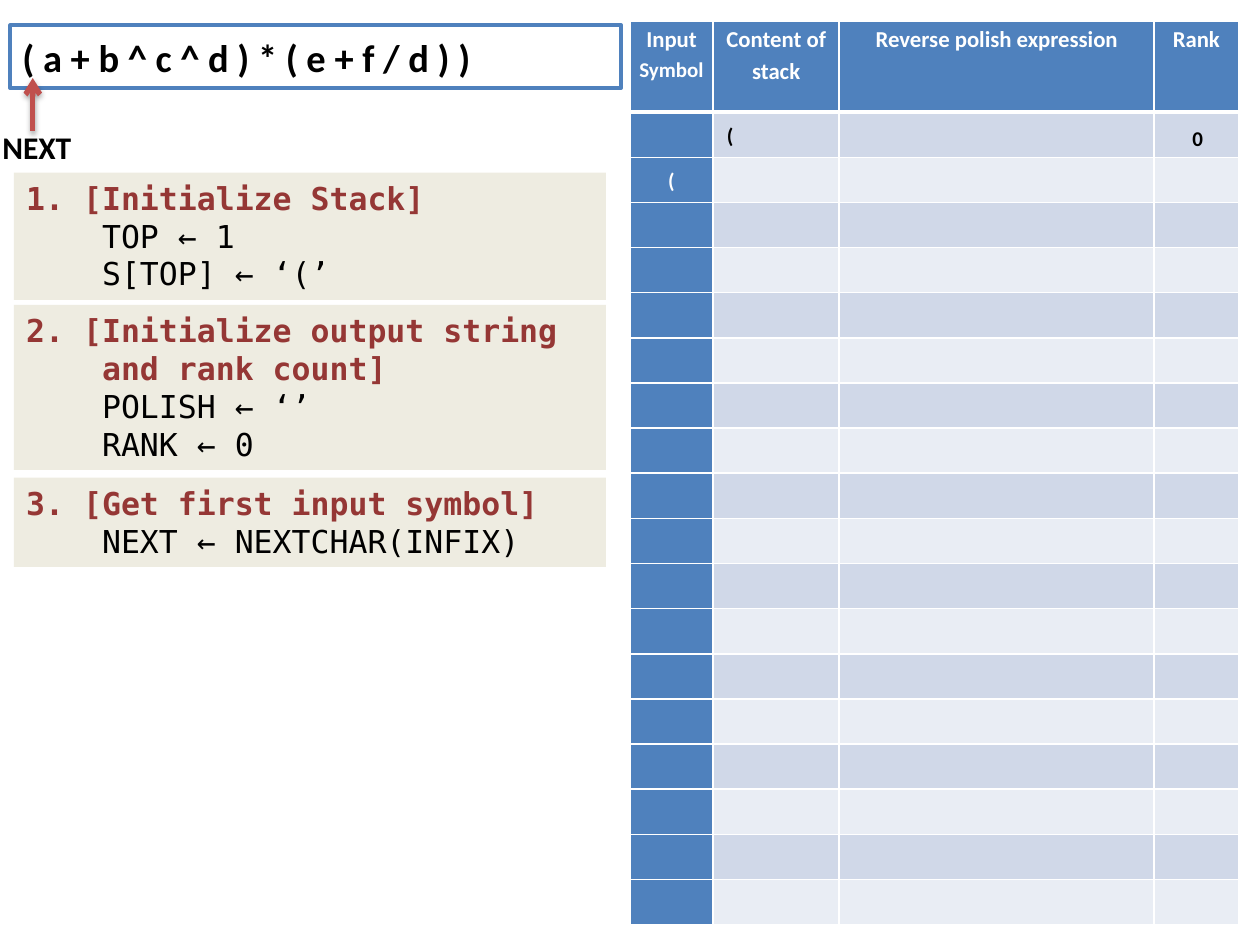
from lxml.etree import SubElement
from pptx import Presentation
from pptx.dml.color import RGBColor
from pptx.enum.shapes import MSO_CONNECTOR, MSO_SHAPE
from pptx.enum.text import MSO_ANCHOR, MSO_AUTO_SIZE, PP_ALIGN
from pptx.oxml import parse_xml
from pptx.oxml.ns import nsdecls, qn
from pptx.util import Inches, Pt

HUES = {
    "blue": "4F81BD", "dark": "D0D8E8", "light": "E9EDF4", "white": "FFFFFF",
    "black": "000000", "red": "C0504D", "wine": "953735", "cream": "EEECE1",
}
SANS, MONO = "Calibri", "DejaVu Sans Mono"

WIDTHS = [0.66, 1, 2.5, 0.67]
HEADS = [
    [("Input", 13), ("Symbol", 12)],
    [("Content of stack", 13)],
    [("Reverse polish expression", 13)],
    [("Rank", 13)],
]
BODY, HIGH, HEAD_HIGH = 18, 7.17, 0.72

# top, height, heading lines, code lines
STEPS = [
    (1.37, 1.01, ["1. [Initialize Stack]"],
     ["    TOP ← 1", "    S[TOP] ← ‘(’"]),
    (2.42, 1.31, ["2. [Initialize output string", "    and rank count]"],
     ["    POLISH ← ‘’", "    RANK ← 0"]),
    (3.79, 0.71, ["3. [Get first input symbol]"],
     ["    NEXT ← NEXTCHAR(INFIX)"]),
]
# text, left, top, width, colour, alignment
MARKS = [
    ("(", 5.67, 0.92, 1, "black", PP_ALIGN.LEFT),
    ("0", 9.17, 0.95, 0.67, "black", PP_ALIGN.CENTER),
    ("(", 5.08, 1.28, 0.5, "white", PP_ALIGN.CENTER),
]


def hue(name):
    return RGBColor.from_string(HUES[name])


class Board:
    def __init__(self, slide):
        self.slide = slide

    def run(self, para, text, size, tint, font=SANS, bold=True):
        run = para.add_run()
        run.text = text
        run.font.name, run.font.size, run.font.bold = font, Pt(size), bold
        run.font.color.rgb = hue(tint)

    def box(self, left, top, width, height, fill, line=None):
        """Add a rectangle and return its text frame."""
        shape = self.slide.shapes.add_shape(
            MSO_SHAPE.RECTANGLE, *map(Inches, (left, top, width, height)))
        shape.shadow.inherit = False
        shape.fill.solid()
        shape.fill.fore_color.rgb = hue(fill)
        if line:
            shape.line.color.rgb = hue(line)
            shape.line.width = Pt(2)
        else:
            shape.line.fill.background()
        shape.text_frame.word_wrap = True
        return shape.text_frame

    def step(self, top, height, heads, codes):
        frame = self.box(0.11, top, 4.7, height, "cream")
        frame.vertical_anchor = MSO_ANCHOR.TOP
        frame.auto_size = MSO_AUTO_SIZE.SHAPE_TO_FIT_TEXT
        for i, text in enumerate(heads + codes):
            para = frame.add_paragraph() if i else frame.paragraphs[0]
            para.alignment = PP_ALIGN.LEFT
            head = i < len(heads)
            self.run(para, text, 18, "wine" if head else "black", MONO, head)

    def label(self, text, left, top, width, tint="black", align=PP_ALIGN.LEFT,
              height=0.3, size=12, wrap=True, group=None):
        home = (group or self.slide).shapes
        frame = home.add_textbox(
            *map(Inches, (left, top, width, height))).text_frame
        frame.word_wrap = wrap
        frame.auto_size = MSO_AUTO_SIZE.SHAPE_TO_FIT_TEXT
        para = frame.paragraphs[0]
        para.alignment = align
        self.run(para, text, size, tint)

    def arrow(self, group, x, start, end):
        link = group.shapes.add_connector(
            MSO_CONNECTOR.STRAIGHT, *map(Inches, (x, start, x, end)))
        link.line.color.rgb = hue("red")
        link.line.width = Pt(3)
        SubElement(link.line._get_or_add_ln(), qn("a:tailEnd"), type="arrow")
        link._element.spPr.append(parse_xml(
            f'<a:effectLst {nsdecls("a")}><a:outerShdw blurRad="{Pt(3.1)}" '
            f'dist="{Pt(1.8)}" dir="5400000" rotWithShape="0">'
            f'<a:srgbClr val="{HUES["black"]}"><a:alpha val="35000"/>'
            '</a:srgbClr></a:outerShdw></a:effectLst>'))

    def cell(self, cell, fill, top=1, bottom=1):
        """Set margins, white borders and fill; top and bottom are points."""
        cell.margin_left = cell.margin_right = Inches(0.07)
        cell.margin_top = cell.margin_bottom = 0
        props = cell._tc.get_or_add_tcPr()
        for side, width in zip("LRTB", (1, 1, top, bottom)):
            props.append(parse_xml(
                f'<a:ln{side} {nsdecls("a")} w="{Pt(width)}"><a:solidFill>'
                f'<a:srgbClr val="{HUES["white"]}"/></a:solidFill></a:ln{side}>'))
        cell.fill.solid()
        cell.fill.fore_color.rgb = hue(fill)

    def trace(self):
        """Add the table that traces the conversion."""
        table = self.slide.shapes.add_table(
            BODY + 1, len(WIDTHS),
            *map(Inches, (5, 0.17, sum(WIDTHS), HIGH))).table
        for col, width in zip(table.columns, WIDTHS):
            col.width = Inches(width)
        for i, row in enumerate(table.rows):
            row.height = Inches((HIGH - HEAD_HIGH) / BODY if i else HEAD_HIGH)
            for j, cell in enumerate(row.cells):
                band = "dark" if i % 2 else "light"
                self.cell(cell, band if i and j else "blue",
                          top=3 if i == 1 else 1, bottom=1 if i else 3)
        for cell, lines in zip(table.rows[0].cells, HEADS):
            para = cell.text_frame.paragraphs[0]
            para.alignment, para.line_spacing = PP_ALIGN.CENTER, 1.15
            for k, (text, size) in enumerate(lines):
                if k:
                    para.add_line_break()
                self.run(para, text, size, "white")


def main():
    deck = Presentation()
    deck.slide_width, deck.slide_height = Inches(10), Inches(7.5)
    board = Board(deck.slides.add_slide(deck.slide_layouts[6]))

    board.trace()
    infix = board.box(0.08, 0.2, 4.85, 0.5, "white", "blue")
    infix.vertical_anchor = MSO_ANCHOR.MIDDLE
    para = infix.paragraphs[0]
    para.alignment = PP_ALIGN.LEFT
    board.run(para, "( a + b ^ c ^ d ) * ( e + f / d ) )", 22, "black")

    group = board.slide.shapes.add_group_shape()
    board.arrow(group, 0.26, 1.04, 0.62)
    board.label("NEXT", -0.08, 0.97, 0.75, height=0.4, size=18, wrap=False,
                group=group)
    for step in STEPS:
        board.step(*step)
    for mark in MARKS:
        board.label(*mark)
    deck.save("out.pptx")


if __name__ == "__main__":
    main()
